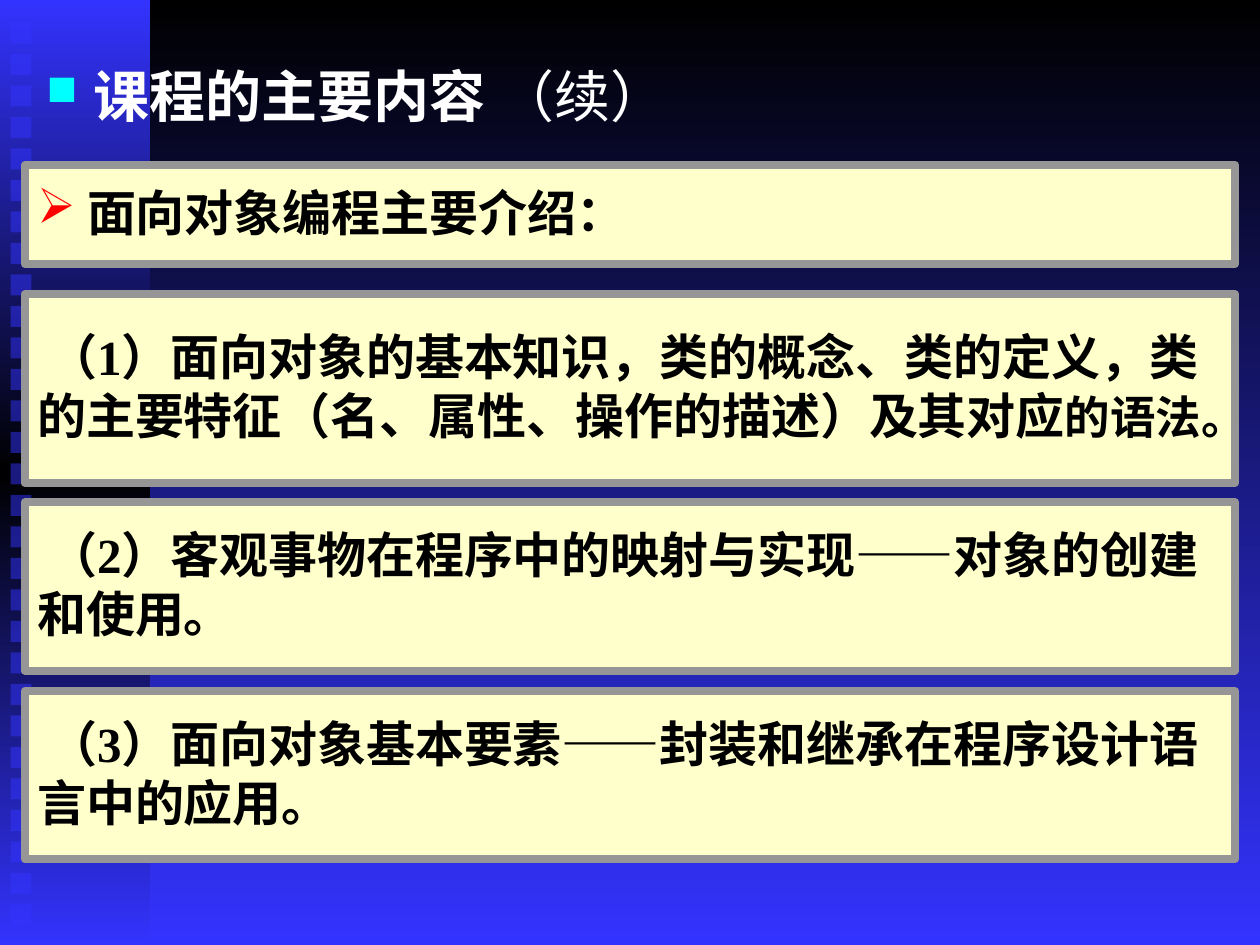
from copy import deepcopy

from pptx import Presentation
from pptx.dml.color import RGBColor
from pptx.enum.lang import MSO_LANGUAGE_ID as LANG
from pptx.enum.shapes import MSO_SHAPE as SHAPE
from pptx.enum.text import MSO_ANCHOR as ANCHOR, PP_ALIGN as ALIGN
from pptx.oxml.ns import qn
from pptx.util import Pt
from lxml.etree import SubElement

BLACK = RGBColor(0x00, 0x00, 0x00)
WHITE = RGBColor(0xFF, 0xFF, 0xFF)
BLUE = RGBColor(0x33, 0x33, 0xFF)
CYAN = RGBColor(0x00, 0xFF, 0xFF)
RED = RGBColor(0xFF, 0x00, 0x00)
CREAM = RGBColor(0xFF, 0xFF, 0xCC)
GREY = RGBColor(0x96, 0x96, 0x96)
FONT = "Times New Roman"


def set_gradient(fill, colors):
    """Fill from top to bottom with evenly spaced colours."""
    fill.gradient()
    fill.gradient_angle = 270
    stops = fill.gradient_stops
    gs_list = fill._fill._gradFill.gsLst
    for _ in range(len(colors) - len(stops)):
        gs_list.append(deepcopy(gs_list[-1]))
    for i, (stop, color) in enumerate(zip(fill.gradient_stops, colors)):
        stop.color.rgb = color
        stop.position = i / (len(colors) - 1)


def set_bullet(p, char, color, size=100, indent=0):
    """Give a paragraph a coloured bullet and a hanging indent in points."""
    pPr = p._p.get_or_add_pPr()
    pPr.set("marL", str(Pt(indent)))
    pPr.set("indent", str(-Pt(indent)))
    SubElement(SubElement(pPr, qn("a:buClr")), qn("a:srgbClr")).set("val", str(color))
    SubElement(pPr, qn("a:buSzPct")).set("val", str(size * 1000))
    SubElement(pPr, qn("a:buChar")).set("char", char)


def add_run(p, text, size, color, bold):
    """Append one run to a paragraph."""
    r = p.add_run()
    r.text = text
    r.font.name, r.font.size, r.font.bold = FONT, Pt(size), bold
    r.font.color.rgb = color
    r.font.language_id = LANG.SIMPLIFIED_CHINESE


def add_rect(shapes, x, y, w, h):
    """Add a rectangle with neither shadow nor line."""
    sp = shapes.add_shape(SHAPE.RECTANGLE, Pt(x), Pt(y), Pt(w), Pt(h))
    sp.shadow.inherit = False
    sp.line.fill.background()
    return sp


def add_side_band(s, x, y, w, h):
    """Draw the gradient band and its column of translucent squares."""
    shapes = s.shapes.add_group_shape().shapes
    set_gradient(add_rect(shapes, x, y, w, h).fill, [BLUE, BLACK, BLUE])
    pitch, side = 18, 12
    for i in range(29):
        sp = add_rect(shapes, x + 6, y + 12.8 + i * pitch, side, side)
        sp.fill.solid()
        sp.fill.fore_color.rgb = BLUE
        clr = sp._element.spPr.find(qn("a:solidFill"))[0]
        SubElement(clr, qn("a:alpha")).set("val", "50000")


def add_heading(s, x, y, w, h):
    """Write the bulleted heading."""
    tf = s.shapes.add_textbox(Pt(x), Pt(y), Pt(w), Pt(h)).text_frame
    tf.word_wrap = True
    p = tf.paragraphs[0]
    set_bullet(p, "■", CYAN, 75, 27)
    add_run(p, "课程的主要内容", 32, WHITE, True)
    add_run(p, " （续）", 32, WHITE, False)


def add_panel(s, x, y, w, h, lines, bullet=None):
    """Draw a framed panel holding lines of (text, size, bold) runs."""
    sp = add_rect(s.shapes, x, y, w, h)
    sp.fill.solid()
    sp.fill.fore_color.rgb = CREAM
    sp.line.color.rgb = GREY
    sp.line.width = Pt(4.5)
    tf = sp.text_frame
    tf.word_wrap = False
    tf.vertical_anchor = ANCHOR.MIDDLE
    tf.margin_top = 0
    for i, runs in enumerate(lines):
        p = tf.add_paragraph() if i else tf.paragraphs[0]
        p.alignment = ALIGN.LEFT
        if bullet:
            set_bullet(p, bullet, RED)
        for text, size, bold in runs:
            add_run(p, text, size, BLACK, bold)


def main():
    """Build and save the slide."""
    prs = Presentation()
    prs.slide_width, prs.slide_height = Pt(720), Pt(540)
    s = prs.slides.add_slide(prs.slide_layouts[6])
    set_gradient(s.background.fill, [BLACK, BLUE])
    add_side_band(s, 0, 0, 85.7, 540)
    add_heading(s, 19.4, 31.7, 612, 57)

    lead = (" ", 28, False)
    panels = [
        (94.3, 56.7, "➢", [[lead, ("面向对象编程主要介绍：", 28, True)]]),
        (168, 108, None, [
            [lead, ("（1）面向对象的基本知识，类的概念、类的定义，类", 28, True)],
            [("的主要特征（名、属性、操作的描述）及其对应", 28, True),
             ("的语法。", 26, True)]]),
        (287, 96.3, None, [
            [lead, ("（2）客观事物在程序中的映射与实现——对象的创建", 28, True)],
            [("和使用。", 28, True)]]),
        (394.8, 96.3, None, [
            [lead, ("（3）面向对象基本要素——封装和继承在程序设计语", 28, True)],
            [("言中的应用。", 28, True)]]),
    ]
    for y, h, bullet, lines in panels:
        add_panel(s, 14.2, y, 691.6, h, lines, bullet)
    prs.save("out.pptx")


if __name__ == "__main__":
    main()
